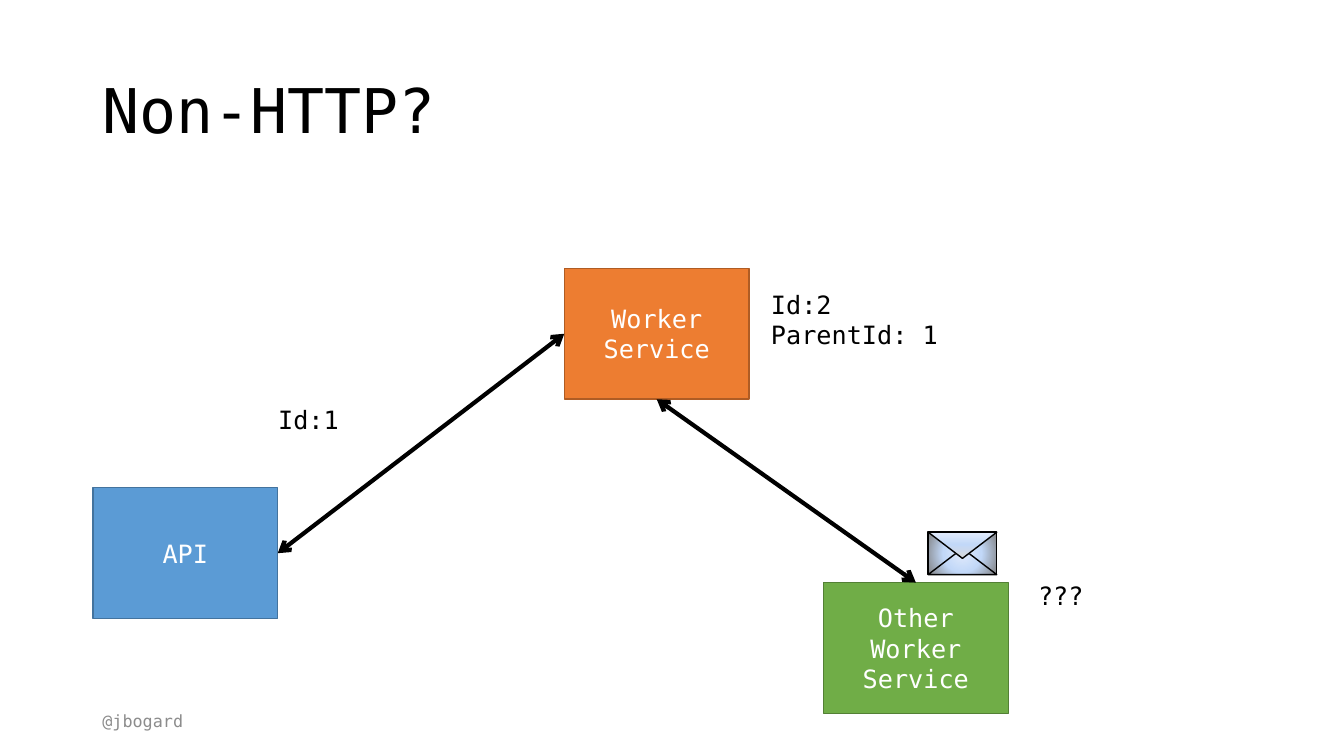
from lxml import etree
from pptx import Presentation
from pptx.dml.color import RGBColor
from pptx.enum import shapes, text
from pptx.oxml.ns import qn
from pptx.util import Cm, Pt

FONT = "DejaVu Sans Mono"
BLACK = RGBColor(0x00, 0x00, 0x00)
WHITE = RGBColor(0xFF, 0xFF, 0xFF)
GREY = RGBColor(0x8C, 0x8C, 0x8C)
BLUE, BLUE_EDGE = RGBColor(0x5B, 0x9B, 0xD5), RGBColor(0x43, 0x73, 0x9E)
ORANGE, ORANGE_EDGE = RGBColor(0xED, 0x7D, 0x31), RGBColor(0xAF, 0x5C, 0x24)
GREEN, GREEN_EDGE = RGBColor(0x70, 0xAD, 0x47), RGBColor(0x53, 0x80, 0x35)
PALE, SKY = RGBColor(0xE1, 0xEB, 0xFB), RGBColor(0xC2, 0xD8, 0xF8)
SHADE, MIST = RGBColor(0x80, 0x80, 0x80), RGBColor(0xD9, 0xD9, 0xD9)

TITLE = ("Non-HTTP?", (2.33, 1.01, 29.21, 3.68))
HANDLE = ("@jbogard", (2.33, 17.65, 7.62, 1.02))
SERVICE_SIZE = (4.66, 3.3)
SERVICES = {
    "API": (2.34, 12.29, BLUE, BLUE_EDGE),
    "Worker Service": (14.22, 6.76, ORANGE, ORANGE_EDGE),
    "Other Worker Service": (20.75, 14.68, GREEN, GREEN_EDGE),
}
TOP, LEFT, BOTTOM, RIGHT = range(4)
CALLS = [
    ("API", RIGHT, "Worker Service", LEFT),
    ("Worker Service", BOTTOM, "Other Worker Service", TOP),
]
ENVELOPE = (23.39, 13.41, 1.73, 1.07)
FLAP_HEIGHT = 0.66
TRACE_IDS = [
    ("Id:1", (6.76, 10.06, 2.16, 1.02)),
    ("Id:2\nParentId: 1", (19.18, 7.16, 5.94, 1.8)),
    ("???", (25.91, 14.5, 5.94, 1.02)),
]


def write(holder, words, size=18, color=BLACK, align=text.PP_ALIGN.LEFT,
          anchor=text.MSO_ANCHOR.TOP, spacing=None, grow=False):
    frame = holder.text_frame
    frame.word_wrap = True
    frame.vertical_anchor = anchor
    fit = text.MSO_AUTO_SIZE
    frame.auto_size = fit.SHAPE_TO_FIT_TEXT if grow else fit.NONE
    frame.text = words
    for line in frame.paragraphs:
        line.alignment = align
        if spacing:
            line.line_spacing = spacing
        for run in line.runs:
            run.font.name = FONT
            run.font.size = Pt(size)
            run.font.color.rgb = color


def text_box(slide, words, place, **style):
    write(slide.shapes.add_textbox(*map(Cm, place)), words, **style)


def outlined(parent, preset, place, edge=BLACK):
    part = parent.shapes.add_shape(preset, *map(Cm, place))
    part.shadow.inherit = False
    part.fill.background()
    part.line.color.rgb = edge
    part.line.width = Pt(1)
    return part


def blend(part, stops, angle=None):
    part.fill.gradient()
    gradient = part.fill._xPr.find(qn("a:gradFill"))
    for child in list(gradient):
        gradient.remove(child)
    gradient.set("rotWithShape", "1")
    stop_list = etree.SubElement(gradient, qn("a:gsLst"))
    for percent, color in stops:
        stop = etree.SubElement(stop_list, qn("a:gs"), pos=str(percent * 1000))
        etree.SubElement(stop, qn("a:srgbClr"), val=str(color))
    if angle is None:
        shade = etree.SubElement(gradient, qn("a:path"))
        shade.set("path", "circle")
        center = dict.fromkeys("ltrb", "50000")
        etree.SubElement(shade, qn("a:fillToRect"), **center)
    else:
        etree.SubElement(gradient, qn("a:lin"), ang=str(angle * 60000), scaled="0")


def connect(slide, source, source_side, target, target_side):
    call = slide.shapes.add_connector(shapes.MSO_CONNECTOR.STRAIGHT, 0, 0, 0, 0)
    call.begin_connect(source, source_side)
    call.end_connect(target, target_side)
    call.line.color.rgb = BLACK
    call.line.width = Pt(3)
    stroke = call.line._get_or_add_ln()
    for end in ("a:headEnd", "a:tailEnd"):
        etree.SubElement(stroke, qn(end), type="arrow")
    etree.SubElement(call._element.spPr, qn("a:effectLst"))


def draw_envelope(slide):
    left, top, width, height = ENVELOPE
    triangle = shapes.MSO_SHAPE.ISOSCELES_TRIANGLE
    envelope = slide.shapes.add_group_shape()
    body = outlined(envelope, shapes.MSO_SHAPE.RECTANGLE, ENVELOPE)
    blend(body, [(0, PALE), (48, SKY), (100, SHADE)])
    outlined(envelope, triangle, (left, top + height - FLAP_HEIGHT, width, FLAP_HEIGHT))
    flap = outlined(envelope, triangle, (left, top, width, FLAP_HEIGHT))
    flap.rotation = 180
    blend(flap, [(0, PALE), (48, SKY), (100, MIST)], angle=270)


def main():
    deck = Presentation()
    deck.slide_width, deck.slide_height = Cm(33.87), Cm(19.05)
    slide = deck.slides.add_slide(deck.slide_layouts[6])
    middle = text.MSO_ANCHOR.MIDDLE

    text_box(slide, *TITLE, size=44, anchor=middle, spacing=0.9)
    text_box(slide, *HANDLE, size=12, color=GREY, anchor=middle)

    boxes = {}
    for service, (left, top, fill, edge) in SERVICES.items():
        box = outlined(slide, shapes.MSO_SHAPE.RECTANGLE,
                       (left, top, *SERVICE_SIZE), edge)
        box.fill.solid()
        box.fill.fore_color.rgb = fill
        write(box, service, color=WHITE, align=text.PP_ALIGN.CENTER, anchor=middle)
        boxes[service] = box

    for source, source_side, target, target_side in CALLS:
        connect(slide, boxes[source], source_side, boxes[target], target_side)

    draw_envelope(slide)
    for words, place in TRACE_IDS:
        text_box(slide, words, place, grow=True)
    deck.save("out.pptx")


if __name__ == "__main__":
    main()
